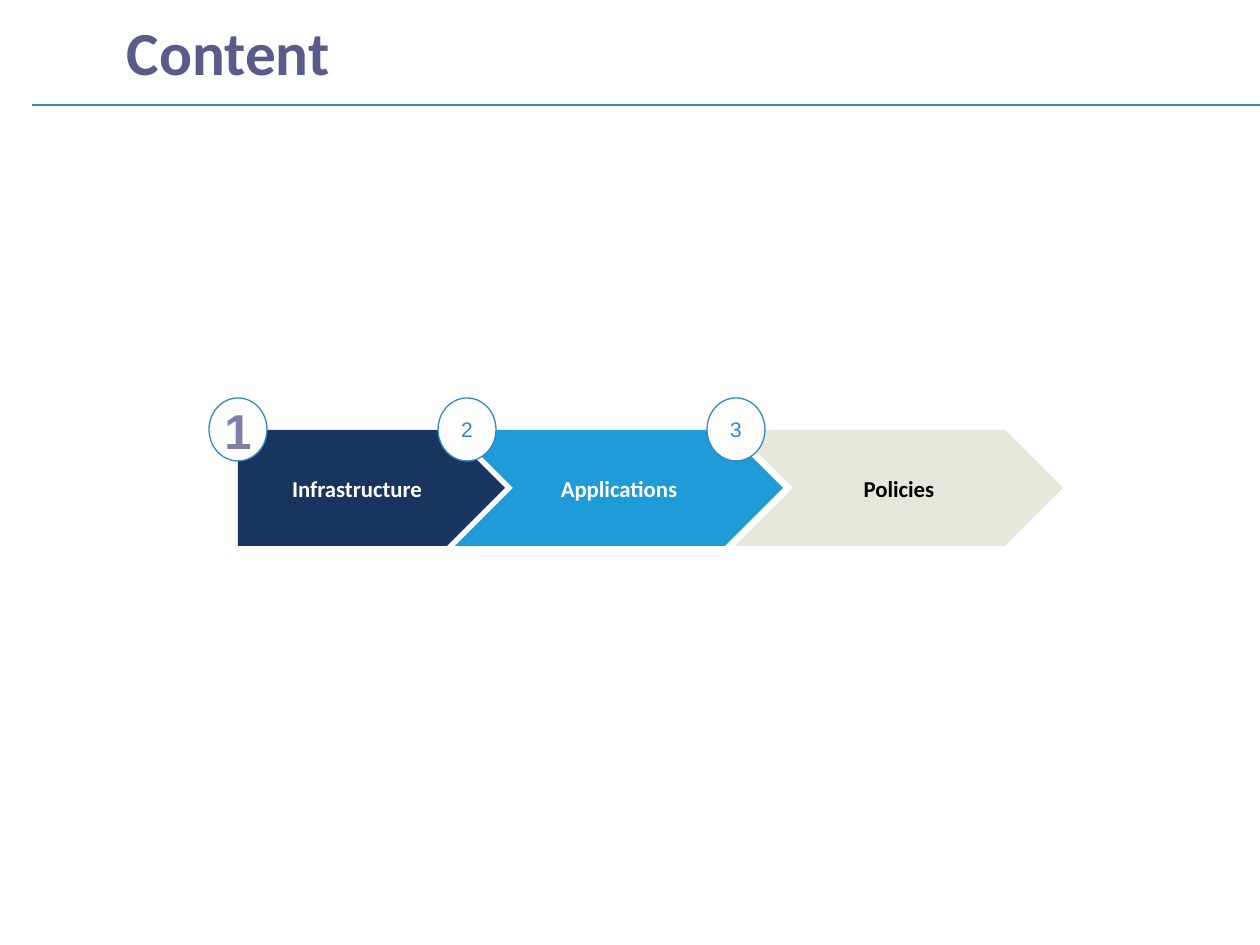
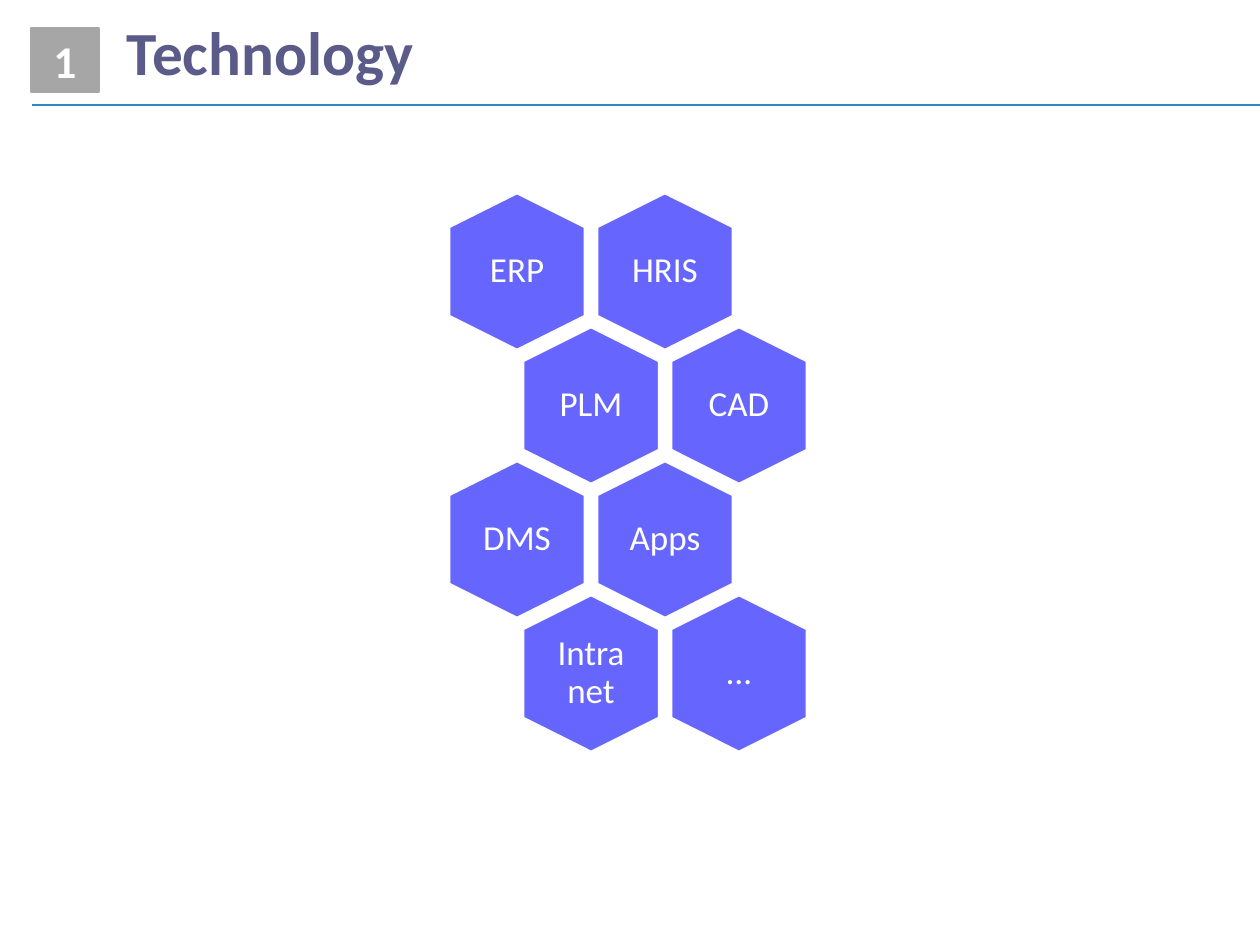
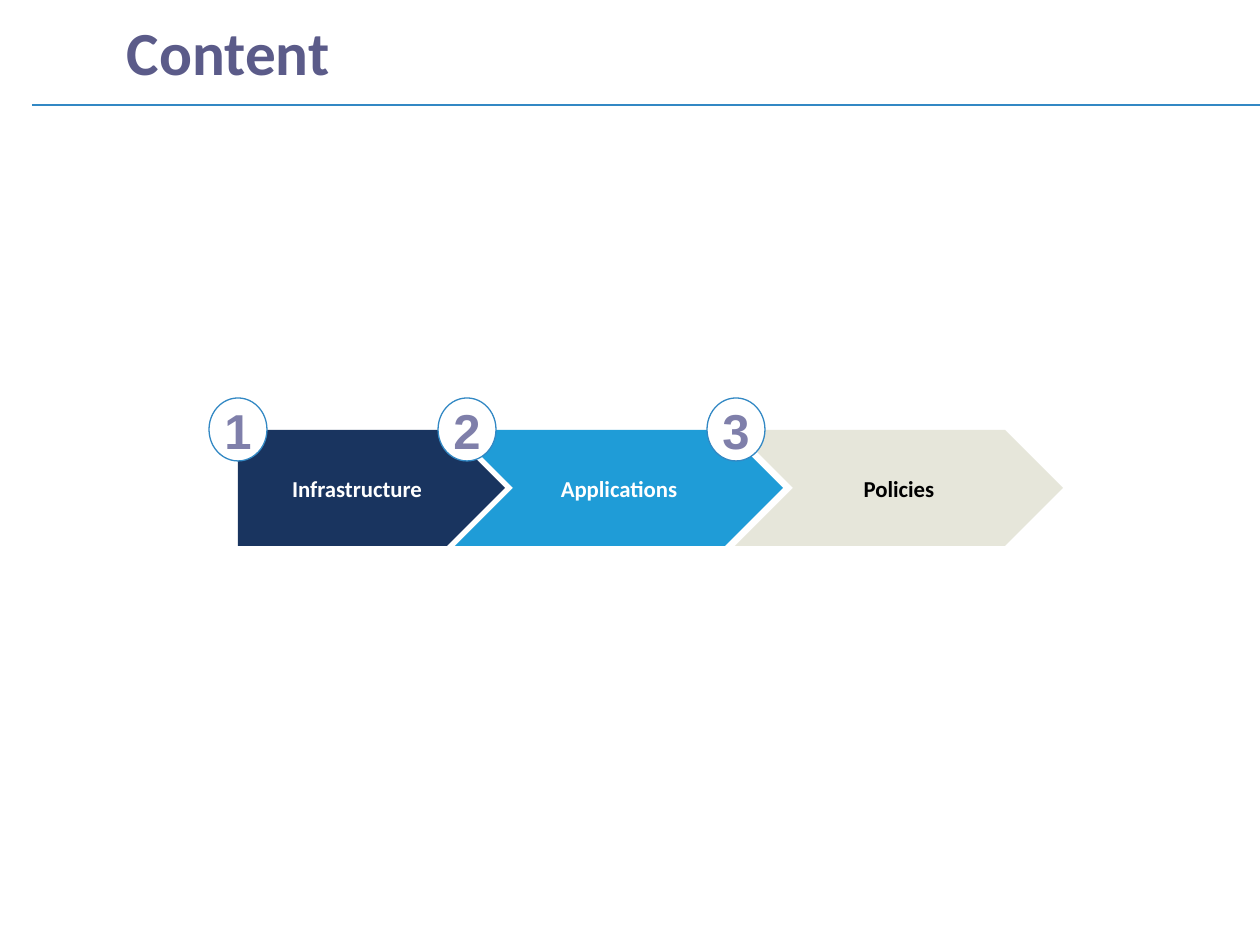
import pptx
import pptx.dml.color
import pptx.enum.shapes
import pptx.enum.text
import pptx.oxml.ns
import pptx.util
from lxml import etree

PX = 914400 / 126
SHAPE = pptx.enum.shapes.MSO_SHAPE
ALIGN = pptx.enum.text.PP_ALIGN
COLORS = {
    "white": "FFFFFF",
    "black": "000000",
    "title": "5B5B89",
    "rule": "3288C4",
    "navy": "19345F",
    "blue": "1F9CD7",
    "sand": "E6E6DA",
    "active": "7F7FAA",
    "glow": "D9D7FD",
    "grey": "A6A6A6",
    "violet": "6666FF",
}
TITLE_ONLY = 5

# label, shape, left, width, fill, text colour, badge left; relative to the flow
STEPS = [
    ("Infrastructure", SHAPE.PENTAGON, 29, 267, "navy", "white", 0),
    ("Applications", SHAPE.CHEVRON, 246, 328, "blue", "white", 229),
    ("Policies", SHAPE.CHEVRON, 526, 328, "sand", "black", 498),
]
SYSTEMS = [("ERP", "HRIS"), ("PLM", "CAD"), ("DMS", "Apps"), ("Intranet", "…")]


def px(*lengths):
    return [pptx.util.Emu(round(length * PX)) for length in lengths]


def rgb(name):
    return pptx.dml.color.RGBColor.from_string(COLORS[name])


def write_text(shape, text, size, color, font="Calibri", bold=False,
               align=ALIGN.CENTER, spacing=None, inset=0, outline=None):
    frame = shape.text_frame
    frame.word_wrap = True
    frame.auto_size = pptx.enum.text.MSO_AUTO_SIZE.NONE
    frame.vertical_anchor = pptx.enum.text.MSO_ANCHOR.MIDDLE
    margin, = px(inset)
    frame.margin_left = frame.margin_right = margin
    frame.margin_top = frame.margin_bottom = 0
    paragraph = frame.paragraphs[0]
    paragraph.alignment = align
    paragraph.line_spacing = spacing
    run = paragraph.add_run()
    run.text = text
    run.font.name = font
    run.font.size = pptx.util.Pt(size)
    run.font.bold = bold
    run.font.color.rgb = rgb(color)
    if outline:
        outline_text(run, outline)


def outline_text(run, color):
    """Give the letters a 1 pt outline, which must precede their fill."""
    qn = pptx.oxml.ns.qn
    line = etree.Element(qn("a:ln"), w="12700")
    fill = etree.SubElement(line, qn("a:solidFill"))
    etree.SubElement(fill, qn("a:srgbClr"), val=COLORS[color])
    run.font._element.insert(0, line)


def add_shape(shapes, kind, box, fill, line=None, line_width=0.75):
    shape = shapes.add_shape(kind, *px(*box))
    shape.shadow.inherit = False
    shape.fill.solid()
    shape.fill.fore_color.rgb = rgb(fill)
    if line:
        shape.line.color.rgb = rgb(line)
        shape.line.width = pptx.util.Pt(line_width)
    else:
        shape.line.fill.background()
    return shape


def add_titled_slide(presentation, title):
    slide = presentation.slides.add_slide(presentation.slide_layouts[TITLE_ONLY])
    placeholder = slide.shapes.title
    (placeholder.left, placeholder.top,
     placeholder.width, placeholder.height) = px(115, 9, 1143, 97)
    write_text(placeholder, title, 35, "title", bold=True, align=ALIGN.LEFT,
               spacing=0.8, inset=12)
    rule = slide.shapes.add_connector(
        pptx.enum.shapes.MSO_CONNECTOR.STRAIGHT, *px(32, 105, 1260, 105))
    rule.line.color.rgb = rgb("rule")
    rule.line.width = pptx.util.Pt(0.75)
    etree.SubElement(rule._element.spPr, pptx.oxml.ns.qn("a:effectLst"))
    return slide


def add_section_number(slide, left, top, number):
    square = add_shape(slide.shapes, SHAPE.RECTANGLE, (left, top, 68, 64), "grey", "grey")
    write_text(square, number, 26, "white", bold=True)


def add_step_flow(slide, left, top, active):
    """Draw the arrows with numbered badges; active holds the stressed numbers."""
    shapes = slide.shapes.add_group_shape().shapes
    for label, kind, offset, width, fill, color, _ in STEPS:
        arrow = add_shape(shapes, kind, (left + offset, top + 32, width, 116), fill)
        write_text(arrow, label, 13, color, bold=True, inset=10)
    for number, step in enumerate(STEPS, start=1):
        badge = add_shape(shapes, SHAPE.OVAL, (left + step[-1], top, 58, 63), "white", "rule")
        if number in active:
            style = dict(size=28, color="active", bold=True, outline="glow")
        else:
            style = dict(size=12, color="rule")
        write_text(badge, str(number), font="Arial", **style)


def add_honeycomb(slide, left, top):
    """Draw upright hexagons in rows, each second row moved by half a cell."""
    length, across = 158, 137
    column_step, row_step = 148, 134
    label_width, label_height = 94, 108
    shapes = slide.shapes.add_group_shape().shapes
    for row, names in enumerate(SYSTEMS):
        for column, name in enumerate(names):
            x = left + column * column_step + row % 2 * column_step // 2
            y = top + row * row_step
            hexagon = add_shape(shapes, SHAPE.HEXAGON, (x, y, length, across),
                                "violet", "white", 2)
            hexagon.rotation = 90
            label = shapes.add_textbox(*px(
                x + (length - label_width) / 2, y + (across - label_height) / 2,
                label_width, label_height))
            write_text(label, name, 20, "white", spacing=0.9, inset=10)


def add_content_slide(presentation, active):
    slide = add_titled_slide(presentation, "Content")
    add_step_flow(slide, 209, 398, active)


def add_technology_slide(presentation):
    slide = add_titled_slide(presentation, "Technology")
    add_section_number(slide, 31, 28, "1")
    add_honeycomb(slide, 438, 203)


def main():
    presentation = pptx.Presentation()
    presentation.slide_width, presentation.slide_height = px(1260, 945)
    add_content_slide(presentation, active={1})
    add_technology_slide(presentation)
    add_content_slide(presentation, active={1, 2, 3})
    presentation.save("out.pptx")


if __name__ == "__main__":
    main()
